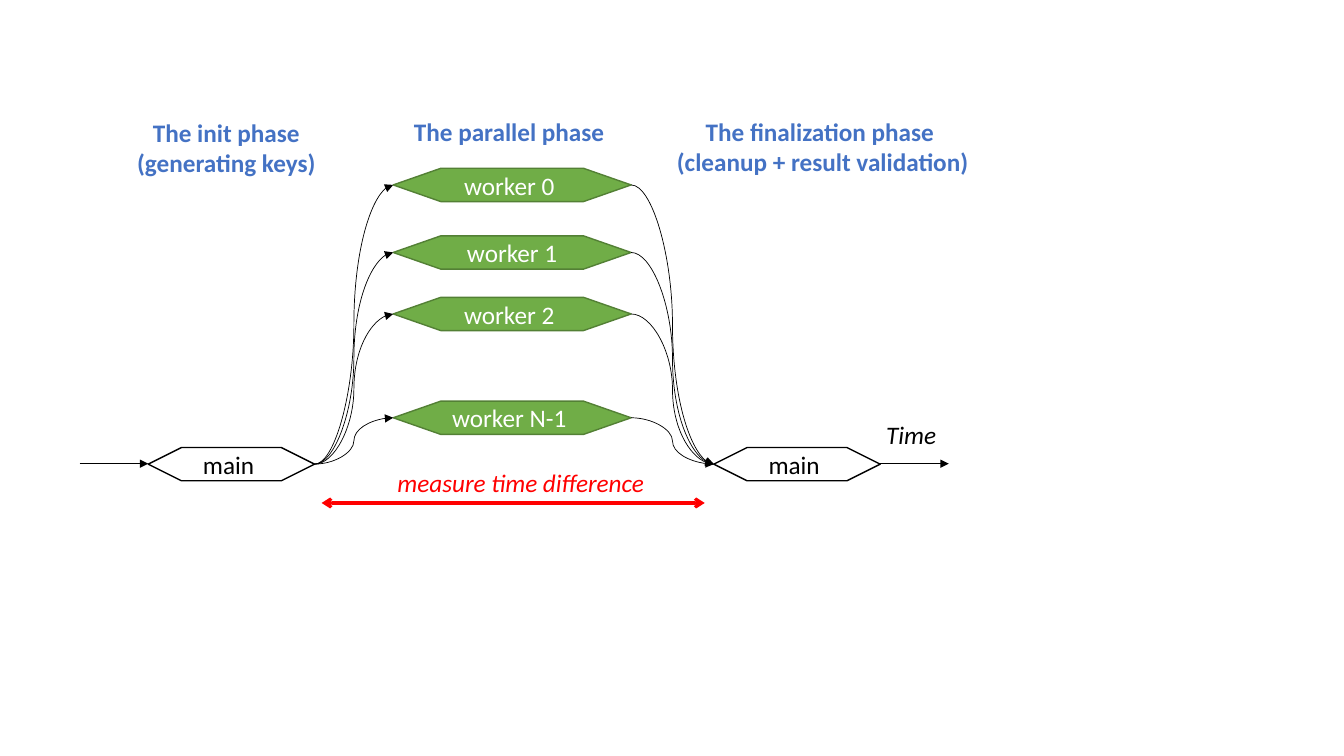
from lxml import etree
from pptx import Presentation
from pptx.dml.color import RGBColor
from pptx.enum.shapes import MSO_CONNECTOR, MSO_SHAPE
from pptx.enum.text import MSO_ANCHOR, PP_ALIGN
from pptx.oxml.ns import qn
from pptx.util import Pt

HEX = MSO_SHAPE.FLOWCHART_PREPARATION
CURVE, LINE = MSO_CONNECTOR.CURVE, MSO_CONNECTOR.STRAIGHT
MIDDLE = MSO_ANCHOR.MIDDLE
CENTER, LEFT = PP_ALIGN.CENTER, PP_ALIGN.LEFT

BLACK, WHITE, RED = "000000", "FFFFFF", "FF0000"
GREEN, EDGE, BLUE = "70AD47", "538035", "4472C4"

WORKERS = [("worker 0 ", 167), ("worker 1", 234), ("worker 2 ", 295), ("worker N-1 ", 398)]
WORK_X, WORK_W = 390, 236
MAINS = [147, 708]
MAIN_Y, MAIN_W, HIGH = 444, 165, 33
STUB = 68
SPAN = (319, 499, 699, 499)
LABELS = [
    ("The init phase\n(generating keys)", (122, 111, 205, 71), BLUE, CENTER),
    ("The parallel phase", (400, 110, 210, 40), BLUE, CENTER),
    ("The finalization phase \n(cleanup + result validation)", (660, 110, 312, 71), BLUE, CENTER),
    ("Time", (869, 411, 71, 40), BLACK, LEFT),
    ("measure time difference", (382, 459, 269, 40), RED, CENTER),
]
LEFT_SITE, RIGHT_SITE = 1, 3
SCALE = 9144


def px(*sizes):
    return [size * SCALE for size in sizes]


def color(code):
    return RGBColor.from_string(code)


def write(frame, text, tint, align):
    frame.text = text
    for para in frame.paragraphs:
        para.alignment = align
        for run in para.runs:
            font = run.font
            font.name, font.size = "Calibri", Pt(18)
            font.color.rgb = color(tint)
            font.bold = tint == BLUE
            font.italic = tint != BLUE and frame.word_wrap is False


def hexagon(text, box, fill, edge, tint):
    shape = slide.shapes.add_shape(HEX, *px(*box))
    shape.shadow.inherit = False
    shape.fill.solid()
    shape.fill.fore_color.rgb = color(fill)
    shape.line.color.rgb = color(edge)
    shape.line.width = Pt(1)
    shape.text_frame.vertical_anchor = MIDDLE
    write(shape.text_frame, text, tint, CENTER)
    return shape


def arrow(kind, ends, tint=BLACK, width=0.5, heads=(("tailEnd", "triangle"),)):
    link = slide.shapes.add_connector(kind, *px(*ends))
    link.line.color.rgb = color(tint)
    link.line.width = Pt(width)
    for tag, style in heads:
        etree.SubElement(link.line._get_or_add_ln(), qn("a:" + tag), type=style)
    etree.SubElement(link._element.spPr, qn("a:effectLst"))
    return link


def join(start, end):
    ends = (0, 0, 0, 0)
    link = arrow(CURVE, ends)
    link.begin_connect(start, RIGHT_SITE)
    link.end_connect(end, LEFT_SITE)


deck = Presentation()
deck.slide_width, deck.slide_height = px(1333, 750)
slide = deck.slides.add_slide(deck.slide_layouts[6])

first, last = [
    hexagon("main ", (x, MAIN_Y, MAIN_W, HIGH), WHITE, BLACK, BLACK) for x in MAINS
]
for name, y in WORKERS:
    worker = hexagon(name, (WORK_X, y, WORK_W, HIGH), GREEN, EDGE, WHITE)
    join(first, worker)
    join(worker, last)

axis = MAIN_Y + HIGH // 2
for x in (MAINS[0] - STUB, MAINS[1] + MAIN_W):
    arrow(LINE, (x, axis, x + STUB, axis))
arrow(LINE, SPAN, RED, 2.25, (("headEnd", "arrow"), ("tailEnd", "arrow")))

for text, box, tint, align in LABELS:
    label = slide.shapes.add_textbox(*px(*box))
    label.text_frame.word_wrap = False
    write(label.text_frame, text, tint, align)

deck.save("out.pptx")
